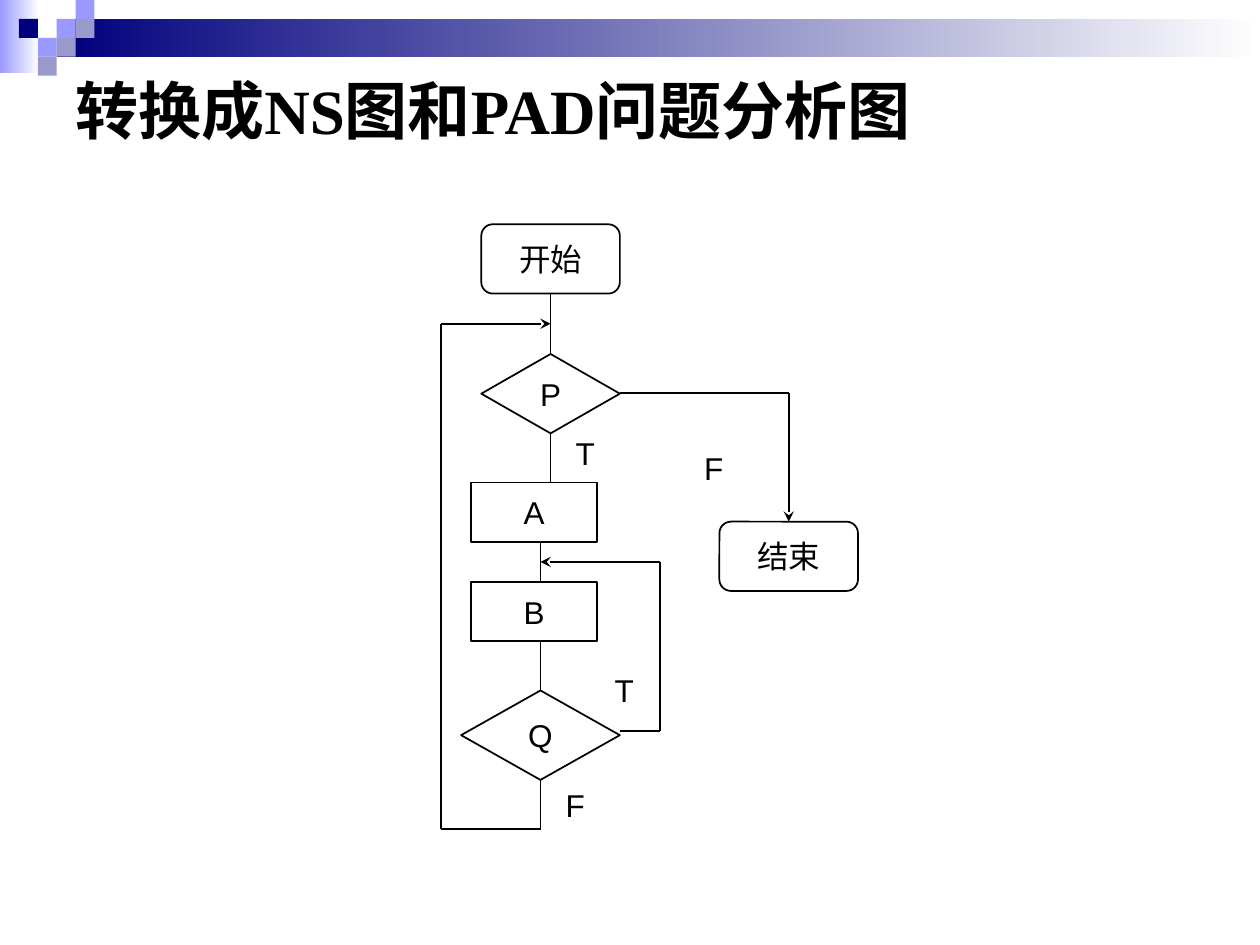
from itertools import pairwise

from lxml.etree import SubElement
from pptx import Presentation
from pptx.dml.color import RGBColor
from pptx.enum.shapes import MSO_CONNECTOR, MSO_SHAPE
from pptx.enum.text import MSO_ANCHOR, PP_ALIGN
from pptx.oxml.ns import qn
from pptx.util import Inches, Pt

COLORS = {
    "ink": "000000",
    "paper": "FFFFFF",
    "navy": "00007D",
    "periwinkle": "9999FF",
    "lavender": "9999CC",
}


def rgb(name):
    return RGBColor.from_string(COLORS[name])


class FlowchartSlide:
    body_font, body_size = "Arial", Pt(18)
    title_font, title_size = "Times New Roman", Pt(36)
    line_width = Pt(1)

    def __init__(self, presentation):
        self.slide = presentation.slides.add_slide(presentation.slide_layouts[6])

    def block(self, box, fill="paper", kind=MSO_SHAPE.RECTANGLE):
        """Plain filled shape without outline."""
        shape = self.slide.shapes.add_shape(kind, *map(Inches, box))
        shape.shadow.inherit = False
        shape.fill.solid()
        shape.fill.fore_color.rgb = rgb(fill)
        shape.line.fill.background()
        return shape

    def fade(self, box, color):
        """Block that fades to white from left to right."""
        fill = self.block(box).fill
        fill.gradient()
        fill.gradient_angle = 0
        for stop, name, position in zip(fill.gradient_stops, (color, "paper"), (0, 1)):
            stop.color.rgb = rgb(name)
            stop.position = position

    def label(self, text, box, kind=MSO_SHAPE.RECTANGLE):
        """Block with centred text."""
        shape = self.block(box, kind=kind)
        frame = shape.text_frame
        frame.word_wrap = False
        frame.vertical_anchor = MSO_ANCHOR.MIDDLE
        paragraph = frame.paragraphs[0]
        paragraph.text = text
        paragraph.alignment = PP_ALIGN.CENTER
        self.style(paragraph, self.body_font, self.body_size)
        return shape

    def node(self, text, box, kind=MSO_SHAPE.RECTANGLE):
        """Outlined flowchart step."""
        shape = self.label(text, box, kind)
        shape.line.color.rgb = rgb("ink")
        shape.line.width = self.line_width

    def route(self, *points, arrow=False):
        """Straight lines through the points, with an optional arrowhead at the end."""
        for start, end in pairwise(points):
            connector = self.slide.shapes.add_connector(
                MSO_CONNECTOR.STRAIGHT, *map(Inches, start + end))
            connector.line.color.rgb = rgb("ink")
            connector.line.width = self.line_width
            properties = connector._element.spPr
            if arrow and end == points[-1]:
                SubElement(properties.find(qn("a:ln")), qn("a:tailEnd"), type="stealth")
            SubElement(properties, qn("a:effectLst"))

    def title(self, text, box):
        frame = self.slide.shapes.add_textbox(*map(Inches, box)).text_frame
        frame.word_wrap = True
        frame.vertical_anchor = MSO_ANCHOR.MIDDLE
        paragraph = frame.paragraphs[0]
        paragraph.text = text
        self.style(paragraph, self.title_font, self.title_size, bold=True)

    def style(self, paragraph, name, size, bold=False):
        font = paragraph.font
        font.name, font.size, font.bold = name, size, bold
        font.color.rgb = rgb("ink")


def main():
    presentation = Presentation()
    presentation.slide_width, presentation.slide_height = Inches(10), Inches(7.5)
    page = FlowchartSlide(presentation)

    # Header band and mosaic
    page.fade((0, 0, 0.31, 0.58), "periwinkle")
    page.fade((0.45, 0.15, 9.55, 0.3), "navy")
    tile = 0.15
    for column, row, color in (
        (3, 1, "periwinkle"), (4, 0, "periwinkle"), (4, 1, "lavender"),
        (2, 2, "periwinkle"), (1, 1, "navy"), (3, 2, "lavender"), (2, 3, "lavender"),
    ):
        page.block((column * tile, row * tile, tile, tile), color)

    # Flowchart steps
    page.node("P", (3.82, 2.81, 1.1, 0.63), MSO_SHAPE.DIAMOND)
    page.node("开始", (3.82, 1.78, 1.1, 0.55), MSO_SHAPE.ROUNDED_RECTANGLE)
    page.node("Q", (3.66, 5.48, 1.26, 0.71), MSO_SHAPE.DIAMOND)
    page.node("结束", (5.71, 4.14, 1.1, 0.55), MSO_SHAPE.ROUNDED_RECTANGLE)
    page.node("A", (3.74, 3.83, 1, 0.47))
    page.node("B", (3.74, 4.62, 1, 0.47))

    # Main flow, exit and the two loops back
    upper, lower = 4.37, 4.29
    page.route((4.92, 3.12), (6.26, 3.12), (6.26, 4.14), arrow=True)
    for x, top, bottom in ((upper, 2.33, 2.81), (upper, 3.44, 3.83),
                           (lower, 4.3, 4.62), (lower, 5.09, 5.48)):
        page.route((x, top), (x, bottom))
    page.route((lower, 6.19), (lower, 6.58), (3.5, 6.58), (3.5, 2.57),
               (upper, 2.57), arrow=True)
    page.route((4.92, 5.8), (5.24, 5.8), (5.24, 4.46), (lower, 4.46), arrow=True)

    # Branch labels
    for text, left, top, height in (("T", 4.45, 3.44, 0.31), ("F", 4.37, 6.27, 0.24),
                                    ("F", 5.47, 3.59, 0.24), ("T", 4.76, 5.32, 0.31)):
        page.label(text, (left, top, 0.39, height))

    page.title("转换成NS图和PAD问题分析图", (0.5, 0.5, 9, 0.73))
    presentation.save("out.pptx")


if __name__ == "__main__":
    main()
